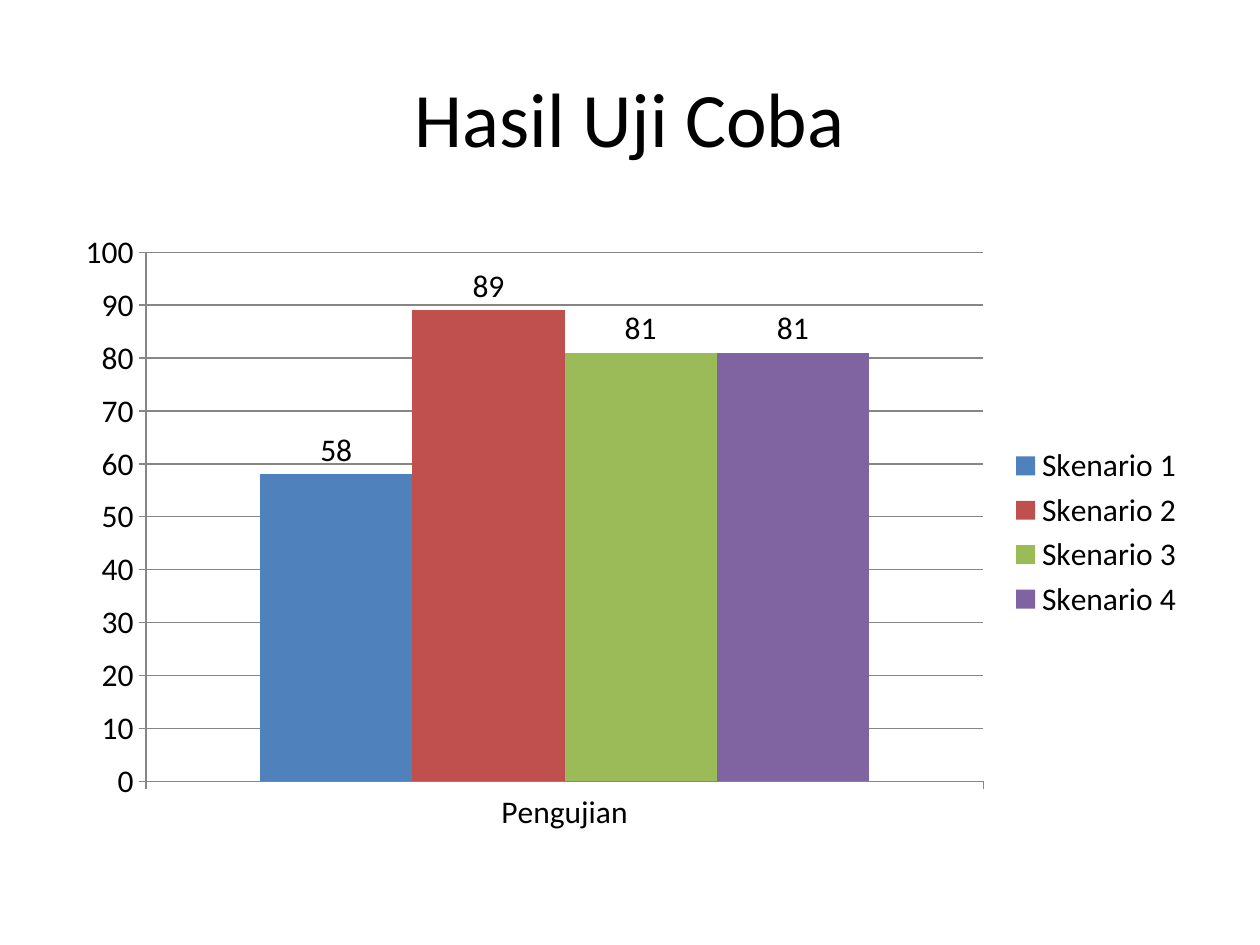
from pptx import Presentation
from pptx.chart.data import CategoryChartData as ChartData
from pptx.dml.color import RGBColor
from pptx.enum.chart import XL_CHART_TYPE as ChartType
from pptx.enum.chart import XL_LABEL_POSITION as LabelPos
from pptx.enum.chart import XL_LEGEND_POSITION as LegendPos
from pptx.enum.chart import XL_TICK_MARK as Tick
from pptx.enum.text import MSO_ANCHOR as Anchor
from pptx.enum.text import PP_ALIGN as Align
from pptx.util import Cm, Pt


def rgb(color):
    return RGBColor.from_string(color)


def style_font(font, size):
    for name, value in {"name": "Calibri", "size": Pt(size), "bold": False}.items():
        setattr(font, name, value)
    font.color.rgb = rgb("000000")


prs = Presentation()
prs.slide_width, prs.slide_height = Cm(25.4), Cm(19.05)
s = prs.slides.add_slide(prs.slide_layouts[5])

# Title
sp = s.shapes.title
box = {"left": Cm(1.27), "top": Cm(0.76), "width": Cm(22.86), "height": Cm(3.18)}
for name, value in box.items():
    setattr(sp, name, value)
tf = sp.text_frame
tf.vertical_anchor = Anchor.MIDDLE
p = tf.paragraphs[0]
p.alignment = Align.CENTER
r = p.add_run()
r.text = "Hasil Uji Coba"
style_font(r.font, 44)

# Scenario scores
scenarios = [
    ("Skenario 1", 58, "4F81BD"),
    ("Skenario 2", 89, "C0504D"),
    ("Skenario 3", 81, "9BBB59"),
    ("Skenario 4", 81, "8064A2"),
]
data = ChartData()
data.categories = ["Pengujian"]
for name, score, _ in scenarios:
    data.add_series(name, [score])
chart = s.shapes.add_chart(
    ChartType.COLUMN_CLUSTERED, Cm(1.27), Cm(4.45), Cm(22.86), Cm(12.57), data
).chart
style_font(chart.font, 18)
chart.has_title = False
chart.has_legend = True
chart.legend.position = LegendPos.RIGHT
chart.legend.include_in_layout = False

plot = chart.plots[0]
for name, value in {"gap_width": 150, "overlap": 0, "vary_by_categories": False}.items():
    setattr(plot, name, value)
for series, (_, _, color) in zip(plot.series, scenarios):
    series.format.fill.solid()
    series.format.fill.fore_color.rgb = rgb(color)
    labels = series.data_labels
    labels.show_value = True
    labels.position = LabelPos.OUTSIDE_END
    style_font(labels.font, 18)

# Axes and gridlines
value_axis = chart.value_axis
scale = {"minimum_scale": 0, "maximum_scale": 100, "major_unit": 10, "has_major_gridlines": True}
for name, value in scale.items():
    setattr(value_axis, name, value)
for axis in (chart.category_axis, value_axis):
    axis.major_tick_mark = Tick.OUTSIDE
    axis.minor_tick_mark = Tick.NONE
for part in (chart.category_axis, value_axis, value_axis.major_gridlines):
    part.format.line.color.rgb = rgb("868686")
    part.format.line.width = Pt(0.75)

prs.save("out.pptx")
